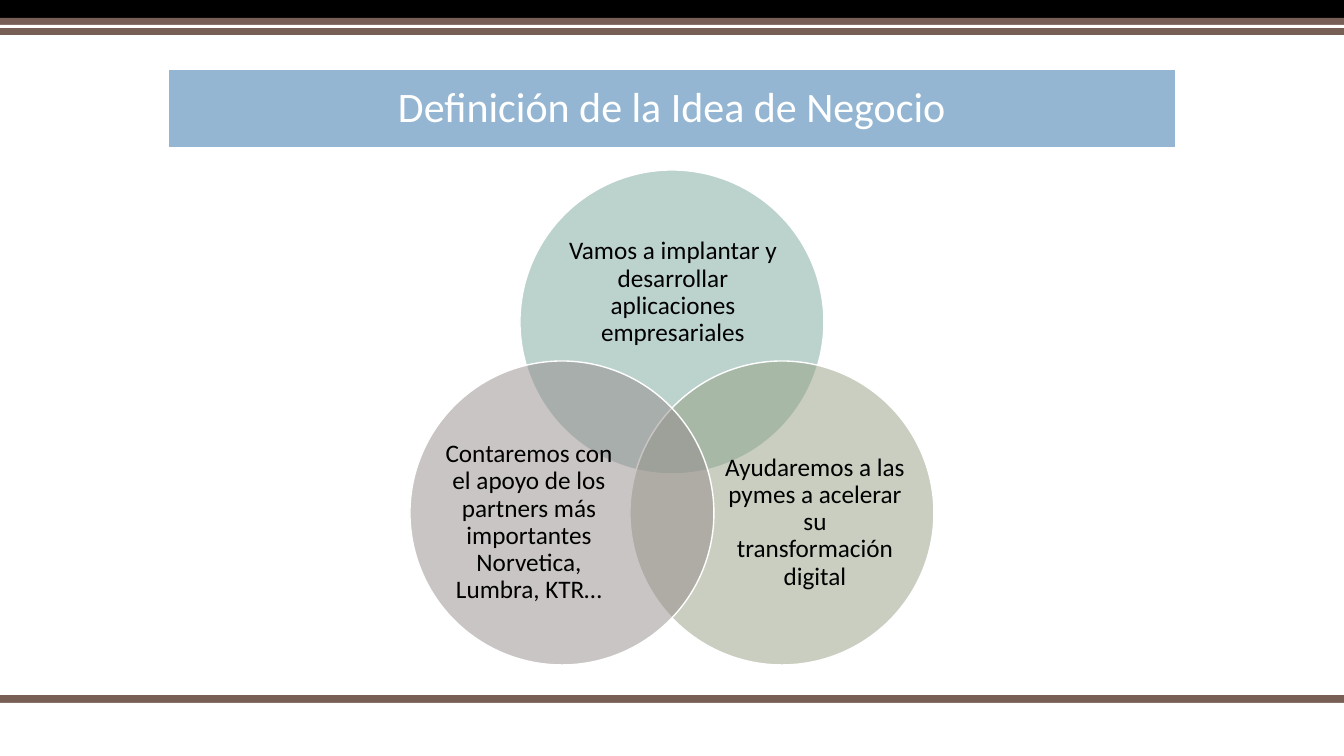
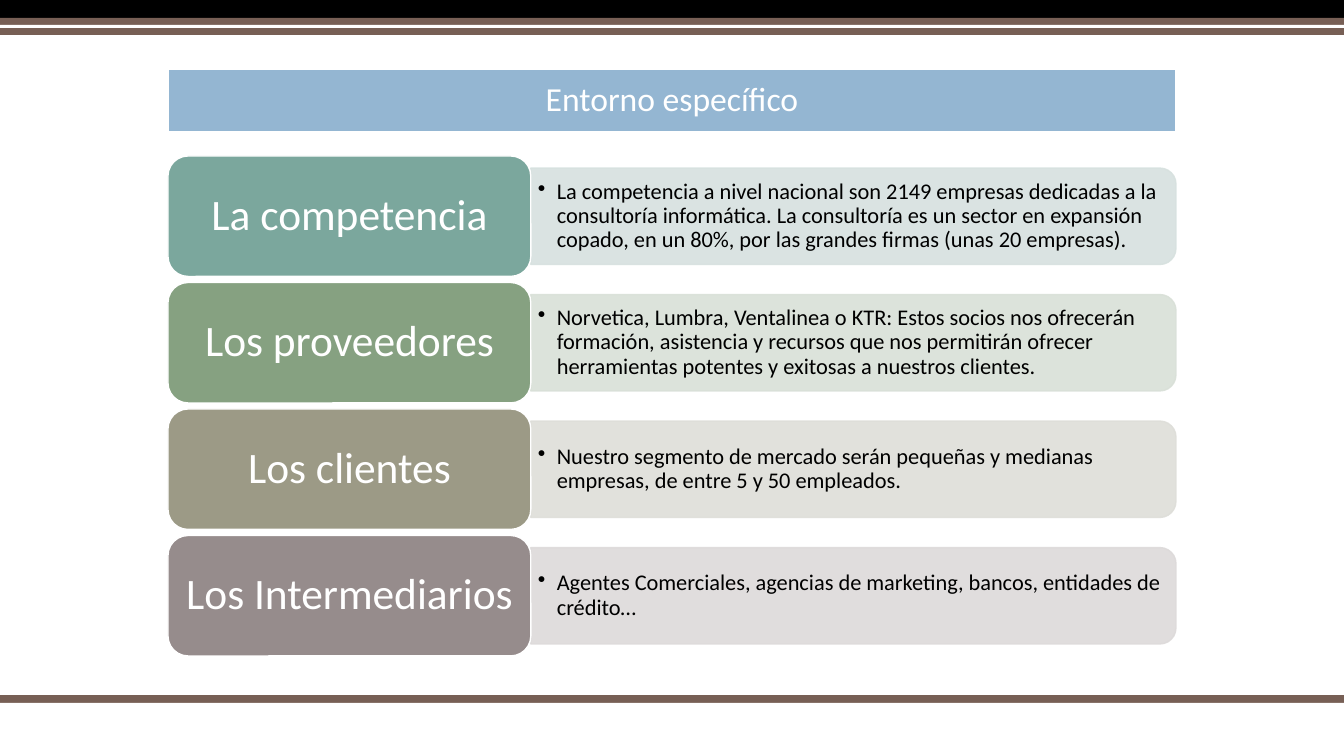
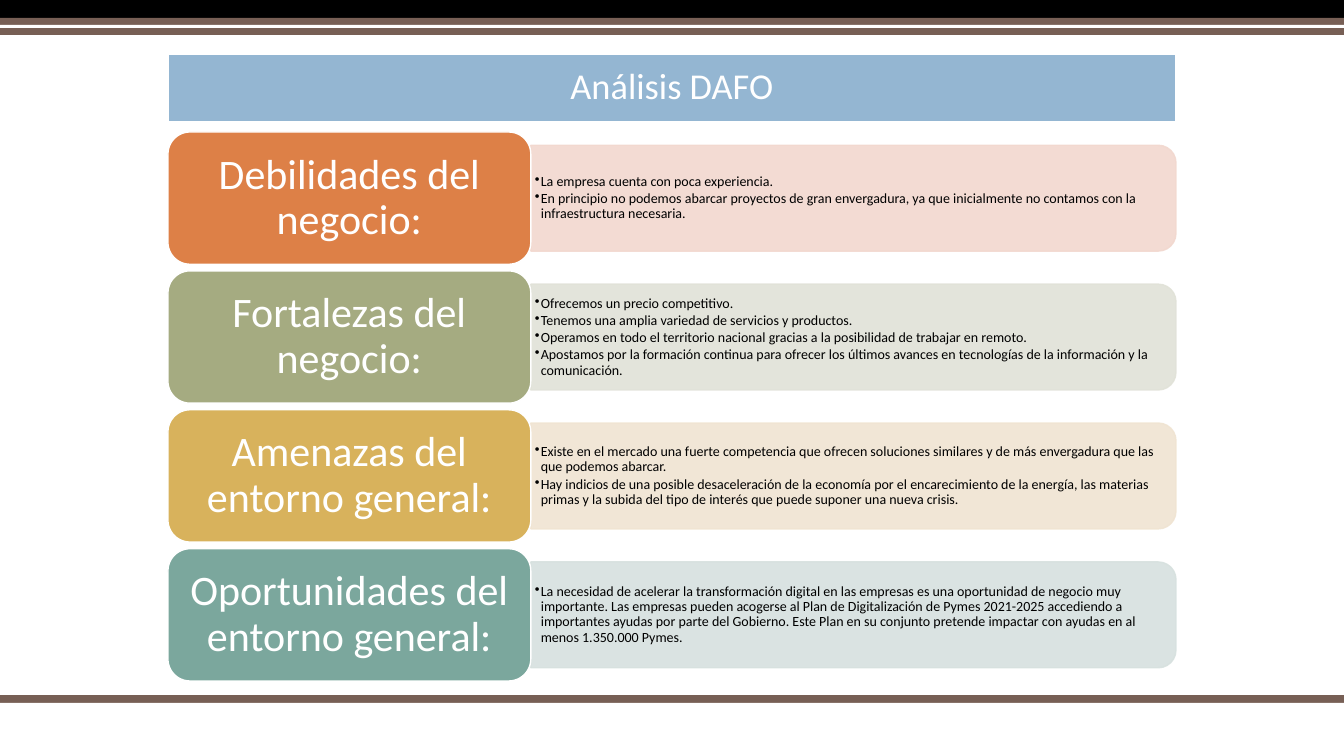
"""Build three business plan slides: the idea, its environment and a SWOT analysis."""
from lxml import etree
from pptx import Presentation, util as u
from pptx.dml import color
from pptx.enum import shapes, text
from pptx.oxml import ns

PX = 914400 / 100.8
SLIDE_SIZE = (1344, 756)
FONT = "Calibri"
COLOURS = {
    "black": "000000", "white": "FFFFFF", "brown": "775F55", "blue": "94B6D2",
    "teal": "7BA79D", "teal_pale": "D7E1DF",
    "green": "86A181", "green_pale": "D9E0D8",
    "olive": "9C9A86", "olive_pale": "DEDED9",
    "grey": "968C8C", "grey_pale": "DDDADA",
    "orange": "DD8047", "orange_pale": "F2D8CF",
    "moss": "A5AB81", "moss_pale": "E1E2D8",
    "gold": "D8B25C", "gold_pale": "F0E4D2",
    "sage": "949F83",
}
BANDS = [
    ("brown", 695, 11), ("white", 703, 3),
    ("black", 0, 18), ("brown", 18, 17), ("white", 25, 3),
]
CIRCLES = [
    ("teal", (110, 0), (41, 54, 224, 137),
     "Vamos a implantar y desarrollar aplicaciones empresariales"),
    ("sage", (220, 191), (94, 78, 182, 167),
     "Ayudaremos a las pymes a acelerar su transformación digital"),
    ("grey", (0, 191), (28, 78, 182, 167),
     "Contaremos con el apoyo de los partners más importantes Norvetica, Lumbra, KTR…"),
]
ENVIRONMENT = [
    ("teal", "La competencia", [
        "La competencia a nivel nacional son 2149 empresas dedicadas a la consultoría "
        "informática. La consultoría es un sector en expansión copado, en un 80%, por las "
        "grandes firmas (unas 20 empresas)."]),
    ("green", "Los proveedores", [
        "Norvetica, Lumbra, Ventalinea o KTR: Estos socios nos ofrecerán formación, "
        "asistencia y recursos que nos permitirán ofrecer herramientas potentes y exitosas "
        "a nuestros clientes."]),
    ("olive", "Los clientes", [
        "Nuestro segmento de mercado serán pequeñas y medianas empresas, de entre 5 y 50 "
        "empleados."]),
    ("grey", "Los Intermediarios", [
        "Agentes Comerciales, agencias de marketing, bancos, entidades de crédito…"]),
]
SWOT = [
    ("orange", "Debilidades del negocio:", [
        "La empresa cuenta con poca experiencia.",
        "En principio no podemos abarcar proyectos de gran envergadura, ya que inicialmente "
        "no contamos con la infraestructura necesaria."]),
    ("moss", "Fortalezas del negocio:", [
        "Ofrecemos un precio competitivo.",
        "Tenemos una amplia variedad de servicios y productos.",
        "Operamos en todo el territorio nacional gracias a la posibilidad de trabajar en remoto.",
        "Apostamos por la formación continua para ofrecer los últimos avances en tecnologías "
        "de la información y la comunicación."]),
    ("gold", "Amenazas del entorno general:", [
        "Existe en el mercado una fuerte competencia que ofrecen soluciones similares y de "
        "más envergadura que las que podemos abarcar.",
        "Hay indicios de una posible desaceleración de la economía por el encarecimiento de "
        "la energía, las materias primas y la subida del tipo de interés que puede suponer "
        "una nueva crisis."]),
    ("teal", "Oportunidades del entorno general:", [
        "La necesidad de acelerar la transformación digital en las empresas es una "
        "oportunidad de negocio muy importante. Las empresas pueden acogerse al Plan de "
        "Digitalización de Pymes 2021-2025 accediendo a importantes ayudas por parte del "
        "Gobierno. Este Plan en su conjunto pretende impactar con ayudas en al menos "
        "1.350.000 Pymes."]),
]


def px(length):
    """Turn a length in px into EMU."""
    return u.Emu(round(length * PX))


def rgb(name):
    """Look up a named colour."""
    return color.RGBColor.from_string(COLOURS[name])


def set_format(target, **values):
    """Set each given attribute on the target."""
    for name, value in values.items():
        setattr(target, name, value)


def paint(shape, fill, line=None):
    """Give a shape a solid fill and, if named, a thin line."""
    shape.fill.solid()
    shape.fill.fore_color.rgb = rgb(fill)
    if line:
        shape.line.color.rgb = rgb(line)
        shape.line.width = u.Pt(1)
    else:
        shape.line.fill.background()


def fade(element, percent):
    """Make every colour inside an element partly transparent."""
    for colour in element.iter(ns.qn("a:srgbClr")):
        etree.SubElement(colour, ns.qn("a:alpha"), val=str(percent * 1000))


def add_shape(slide, kind, box, fill, line=None):
    """Add a painted preset shape without shadow."""
    shape = slide.shapes.add_shape(kind, *map(px, box))
    shape.shadow.inherit = False
    paint(shape, fill, line)
    return shape


def write(shape, paragraphs, size, colour, insets=(0, 0), bullet=0):
    """Write paragraphs, centred or with bullets that hang by the given px."""
    frame = shape.text_frame
    across, down = map(px, insets)
    set_format(frame, word_wrap=True, auto_size=text.MSO_AUTO_SIZE.NONE,
               vertical_anchor=text.MSO_ANCHOR.MIDDLE, margin_left=across,
               margin_right=across, margin_top=down, margin_bottom=down)
    for index, words in enumerate(paragraphs):
        paragraph = frame.add_paragraph() if index else frame.paragraphs[0]
        align = text.PP_ALIGN.LEFT if bullet else text.PP_ALIGN.CENTER
        set_format(paragraph, text=words, alignment=align, line_spacing=0.9,
                   space_before=u.Pt(0), space_after=u.Pt(0.15 * size if bullet else 0))
        set_format(paragraph.runs[0].font, name=FONT, size=u.Pt(size))
        paragraph.runs[0].font.color.rgb = rgb(colour)
        if bullet:
            properties = paragraph._p.get_or_add_pPr()
            properties.set("marL", str(px(bullet)))
            properties.set("indent", str(-px(bullet)))
            etree.SubElement(properties, ns.qn("a:buChar"), char="•")


def add_text(slide, box, paragraphs, size, **options):
    """Add a text box with black text."""
    write(slide.shapes.add_textbox(*map(px, box)), paragraphs, size, "black", **options)


def share_bands(slide, layout):
    """Draw the top and bottom bands and hand them over to the layout."""
    for number, (colour, top, height) in enumerate(BANDS, 101):
        box = (0, top, SLIDE_SIZE[0], height)
        band = add_shape(slide, shapes.MSO_SHAPE.RECTANGLE, box, colour)
        band.name = f"Band {number}"
        band._element.nvSpPr.cNvPr.set("id", str(number))
        layout.shapes._spTree.append(band._element)


def place_title(slide, box, words, size):
    """Turn the title placeholder into a rounded blue banner."""
    title = slide.shapes.title
    set_format(title, **dict(zip(("left", "top", "width", "height"), map(px, box))))
    geometry = etree.SubElement(title._element.spPr, ns.qn("a:prstGeom"), prst="roundRect")
    etree.SubElement(geometry, ns.qn("a:avLst"))
    paint(title, "blue", "white")
    write(title, [words], size, "white", insets=(10, 5))


def draw_venn(slide, box, diameter=304):
    """Draw three overlapping circles with their texts."""
    left, top = box
    for colour, (across, down), (text_x, text_y, width, height), words in CIRCLES:
        x, y = left + across, top + down
        circle = add_shape(slide, shapes.MSO_SHAPE.OVAL, (x, y, diameter, diameter),
                           colour, "white")
        fade(circle._element.spPr.find(ns.qn("a:solidFill")), 50)
        add_text(slide, (x + text_x, y + text_y, width, height), [words], 18)


def draw_rows(slide, box, rows, label_size, detail_size, insets, bullet):
    """Stack labels down the box, each with a paler panel of bullets."""
    left, top, width, height = box
    label_height = height / (len(rows) + 0.05 * (len(rows) - 1))
    label_width = 0.36 * width
    panel_width, panel_height = width - label_width, 0.8 * label_height
    panel_left = left + label_width
    for index, (colour, label, details) in enumerate(rows):
        y = top + index * 1.05 * label_height
        middle = y + label_height / 2
        upright = (panel_left + (panel_width - panel_height) / 2, middle - panel_width / 2,
                   panel_height, panel_width)
        pale = colour + "_pale"
        panel = add_shape(slide, shapes.MSO_SHAPE.ROUND_2_SAME_RECTANGLE, upright, pale, pale)
        panel.rotation = 90
        fade(panel._element.spPr, 90)
        add_text(slide, (panel_left, middle - panel_height / 2, panel_width - 5, panel_height),
                 details, detail_size, insets=insets, bullet=bullet)
        label_box = (left, y, label_width, label_height)
        shape = add_shape(slide, shapes.MSO_SHAPE.ROUNDED_RECTANGLE, label_box, colour, "white")
        write(shape, [label], label_size, "white", insets=(12, 6))


def main():
    """Build and save the presentation."""
    presentation = Presentation()
    presentation.slide_width, presentation.slide_height = map(px, SLIDE_SIZE)
    layout = presentation.slide_layouts[5]
    idea, environment, swot = (presentation.slides.add_slide(layout) for _ in range(3))
    share_bands(idea, layout)

    place_title(idea, (168, 69, 1008, 79), "Definición de la Idea de Negocio", 30)
    draw_venn(idea, (410, 170))

    place_title(environment, (168, 69, 1008, 63), "Entorno específico", 24)
    draw_rows(environment, (168, 156, 1008, 500), ENVIRONMENT, 31, 16, (7, 3), 19)

    place_title(swot, (168, 54, 1008, 68), "Análisis DAFO", 26)
    draw_rows(swot, (168, 132, 1008, 549), SWOT, 30, 10, (4, 2), 6)

    presentation.save("out.pptx")


if __name__ == "__main__":
    main()
